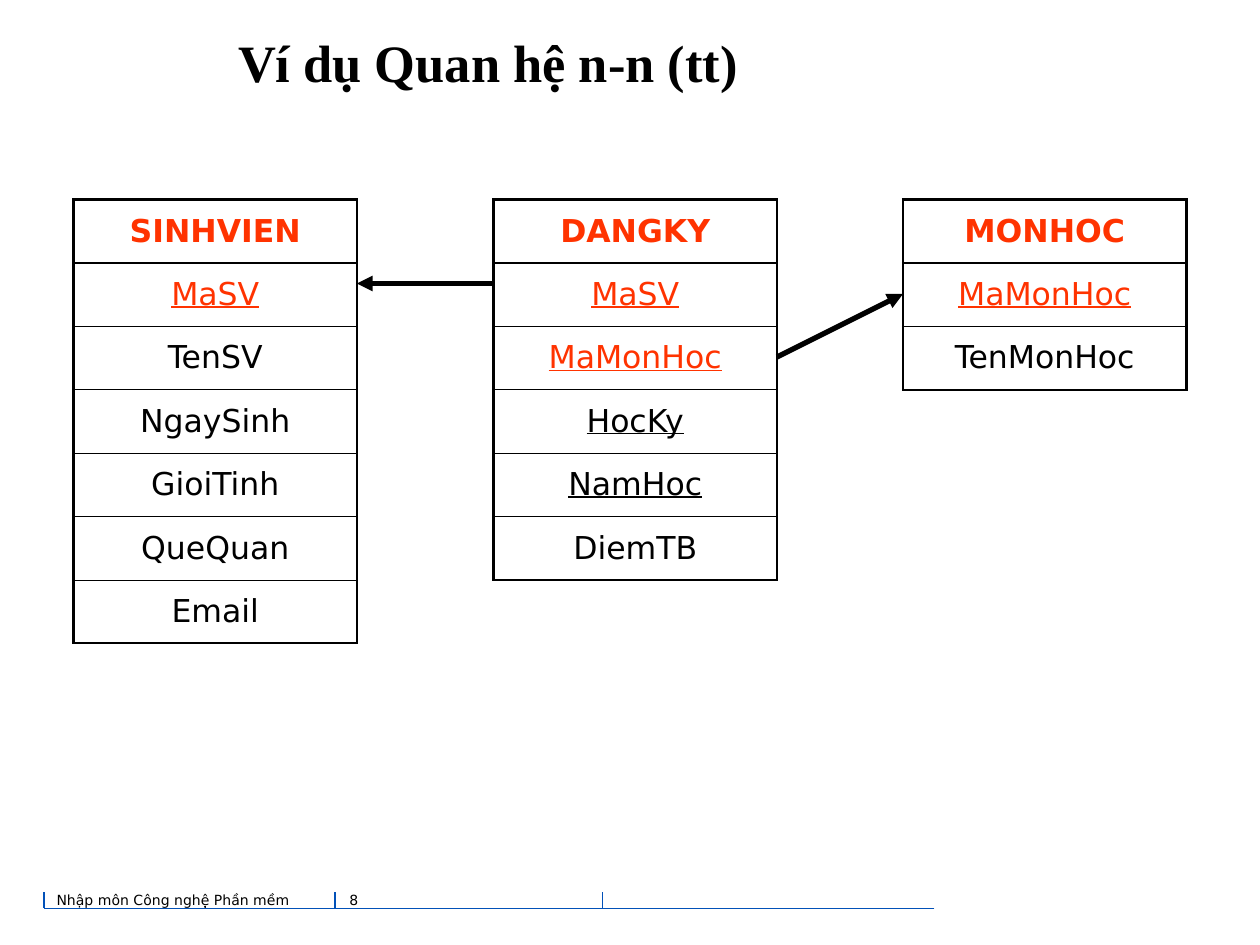
"""Build the slide on an n-n relation split into three linked tables."""
from dataclasses import dataclass
from typing import Any

from lxml.etree import SubElement
from pptx import Presentation
from pptx.dml.color import RGBColor as RGB
from pptx.enum.shapes import MSO_CONNECTOR as CONN
from pptx.enum.text import MSO_ANCHOR as ANCHOR, PP_ALIGN as ALIGN
from pptx.oxml.ns import qn
from pptx.util import Emu, Inches, Pt

COLS, ROWS = 120, 90
CELL = Inches(10) / COLS
TABLE_TOP, TABLE_WIDTH, ROW_HEIGHT = 19, 27, 6.04
FOOTER_TOP, FOOTER_BASE, FOOTER_TICK = 84.4, 86.5, 85


@dataclass(frozen=True)
class Theme:
    ink: str = "000000"
    key: str = "FF3300"
    rule: str = "0251B8"
    sans: str = "DejaVu Sans"
    serif: str = "Times New Roman"
    title: int = 30
    body: int = 18
    small: int = 8
    thick: float = 1.47
    thin: float = 0.45
    base: float = 1.08
    hair: float = 0.75
    arrow: float = 3


@dataclass(frozen=True)
class Field:
    name: str
    color: str
    bold: bool = False
    underline: bool = False


@dataclass(frozen=True)
class Relation:
    col: int
    fields: tuple[Field, ...]


@dataclass(frozen=True)
class Line:
    x1: float
    y1: float
    x2: float
    y2: float
    color: str
    width: float
    arrow: bool = False


@dataclass(frozen=True)
class Label:
    text: str
    box: tuple[float, float, float, float]
    font: dict[str, Any]
    inset: float = 0.04
    align: ALIGN = ALIGN.LEFT
    anchor: ANCHOR = ANCHOR.TOP


T = Theme()


def relation(col: int, name: str, linked: str, keys: str = "", plain: str = "") -> Relation:
    """Describe a table by its name, its red keys, other keys and plain fields."""
    return Relation(col, (
        Field(name, T.key, bold=True),
        *(Field(f, T.key, underline=True) for f in linked.split()),
        *(Field(f, T.ink, underline=True) for f in keys.split()),
        *(Field(f, T.ink) for f in plain.split()),
    ))


RELATIONS = (
    relation(47, "DANGKY", "MaSV MaMonHoc", "HocKy NamHoc", "DiemTB"),
    relation(7, "SINHVIEN", "MaSV", plain="TenSV NgaySinh GioiTinh QueQuan Email"),
    relation(86, "MONHOC", "MaMonHoc", plain="TenMonHoc"),
)
LINES = (
    Line(89, FOOTER_BASE, 4.2, FOOTER_BASE, T.rule, T.hair),
    *(Line(x, FOOTER_BASE, x, FOOTER_TICK, T.rule, T.hair) for x in (4.2, 31.9, 57.4)),
    Line(47, 27, 34, 27, T.ink, T.arrow, True),
    Line(74, 34, 86, 28, T.ink, T.arrow, True),
)
SMALL = {"name": T.sans, "size": Pt(T.small)}
LABELS = (
    Label("8", (32.8, FOOTER_TOP, 15, 3), SMALL),
    Label("Nhập môn Công nghệ Phần mềm", (4.9, FOOTER_TOP, 26.3, 3), SMALL),
    Label("Ví dụ Quan hệ n-n (tt)", (2, 0.8, 89, 10.2),
          {"name": T.serif, "size": Pt(T.title), "bold": True},
          0, ALIGN.CENTER, ANCHOR.MIDDLE),
)


def grid(*units: float) -> list[Emu]:
    """Turn grid units into lengths."""
    return [Emu(round(u * CELL)) for u in units]


def write(p: Any, text: str, color: str, font: dict[str, Any], align: ALIGN) -> None:
    """Put one formatted run in a paragraph."""
    p.alignment = align
    r = p.add_run()
    r.text = text
    for key, value in font.items():
        setattr(r.font, key, value)
    r.font.color.rgb = RGB.from_string(color)


def set_borders(cell: Any, top: float, bottom: float) -> None:
    """Outline a cell with thick sides and the given top and bottom widths."""
    tc_pr = cell._tc.get_or_add_tcPr()
    widths = {"L": T.thick, "R": T.thick, "T": top, "B": bottom}
    for side, width in widths.items():
        ln = SubElement(tc_pr, qn(f"a:ln{side}"), w=str(Pt(width)))
        fill = SubElement(ln, qn("a:solidFill"))
        SubElement(fill, qn("a:srgbClr"), val=T.ink)


def draw_relation(s: Any, rel: Relation) -> None:
    """Draw a relation as a one-column table."""
    n = len(rel.fields)
    box = grid(rel.col, TABLE_TOP, TABLE_WIDTH, ROW_HEIGHT * n)
    table = s.shapes.add_table(n, 1, *box).table
    table.first_row = table.horz_banding = False
    edges = [T.thick, T.thick, *[T.thin] * (n - 2), T.base]
    for i, field in enumerate(rel.fields):
        table.rows[i].height = grid(ROW_HEIGHT)[0]
        cell = table.cell(i, 0)
        set_borders(cell, edges[i], edges[i + 1])
        cell.fill.background()
        cell.vertical_anchor = ANCHOR.MIDDLE
        font = {"name": T.sans, "size": Pt(T.body),
                "bold": field.bold, "underline": field.underline}
        write(cell.text_frame.paragraphs[0], field.name, field.color, font, ALIGN.CENTER)


def draw_line(s: Any, line: Line) -> None:
    """Draw a straight line, with an arrowhead at its end if asked."""
    ends = grid(line.x1, line.y1, line.x2, line.y2)
    sp = s.shapes.add_connector(CONN.STRAIGHT, *ends)
    sp.line.color.rgb = RGB.from_string(line.color)
    sp.line.width = Pt(line.width)
    if line.arrow:
        SubElement(sp.line._get_or_add_ln(), qn("a:tailEnd"), type="triangle")
    SubElement(sp._element.spPr, qn("a:effectLst"))


def draw_label(s: Any, label: Label) -> None:
    """Draw a text box."""
    tf = s.shapes.add_textbox(*grid(*label.box)).text_frame
    frame = {"word_wrap": True, "vertical_anchor": label.anchor}
    frame |= {f"margin_{side}": Inches(label.inset)
              for side in ("left", "top", "right", "bottom")}
    for key, value in frame.items():
        setattr(tf, key, value)
    write(tf.paragraphs[0], label.text, T.ink, label.font, label.align)


def main() -> None:
    """Build and save the slide."""
    prs = Presentation()
    prs.slide_width, prs.slide_height = grid(COLS, ROWS)
    s = prs.slides.add_slide(prs.slide_layouts[6])
    for rel in RELATIONS:
        draw_relation(s, rel)
    for line in LINES:
        draw_line(s, line)
    for label in LABELS:
        draw_label(s, label)
    prs.save("out.pptx")


if __name__ == "__main__":
    main()
